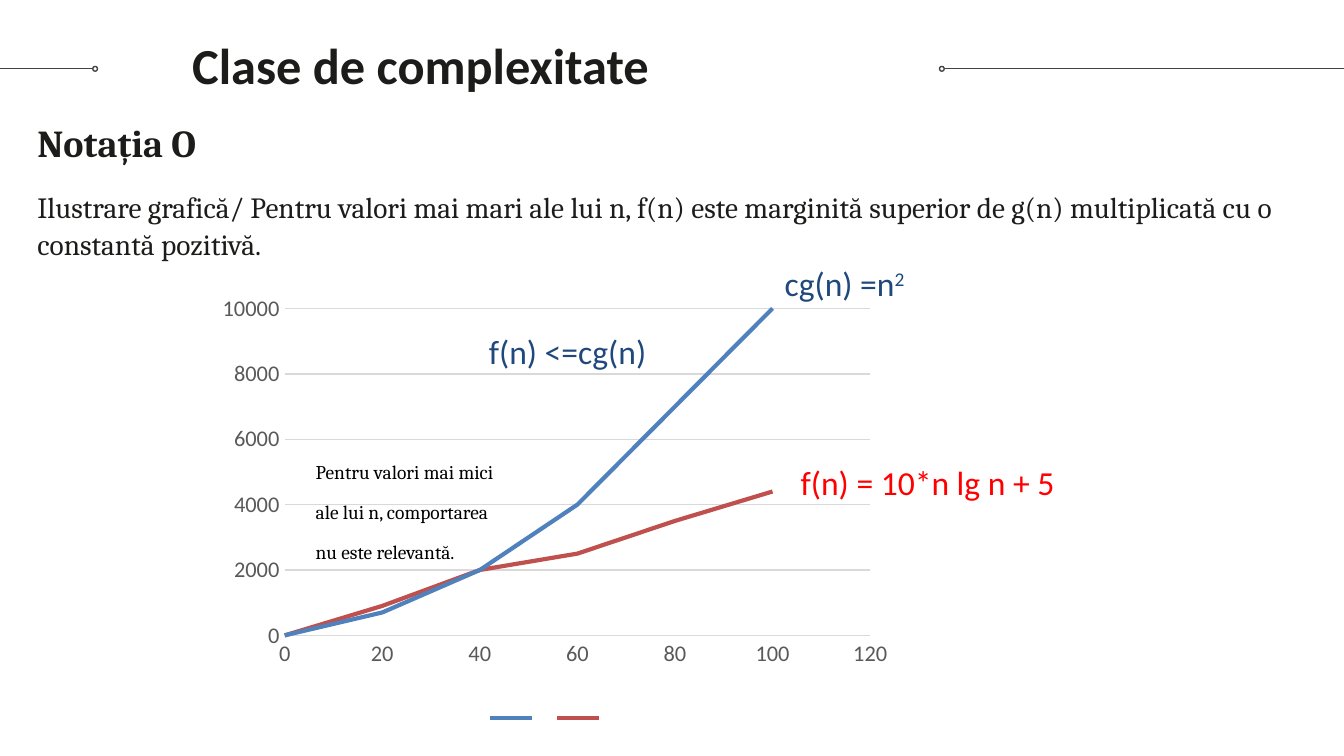
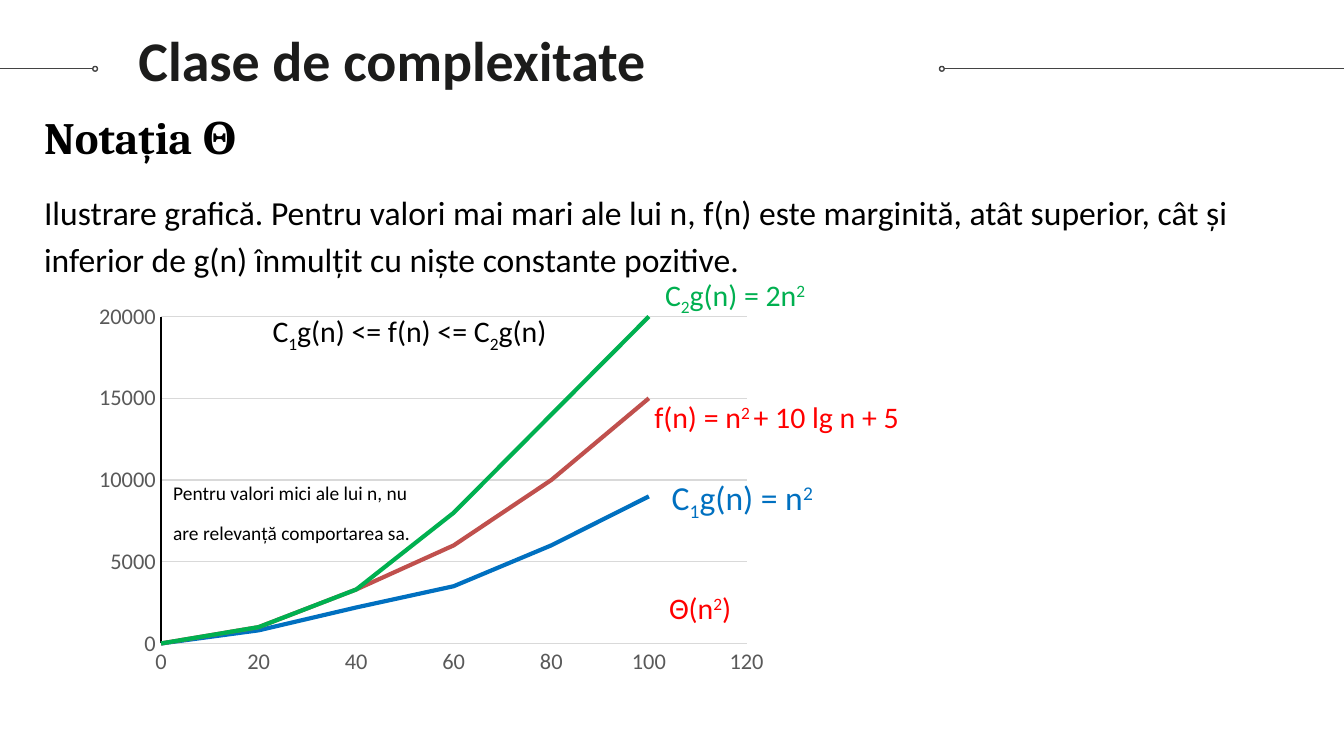
from dataclasses import dataclass

from lxml import etree
from pptx import Presentation
from pptx.chart.data import XyChartData
from pptx.dml.color import RGBColor
from pptx.enum.chart import XL_CHART_TYPE as ChartType
from pptx.enum.chart import XL_LEGEND_POSITION as LegendPos
from pptx.enum.chart import XL_TICK_MARK as TickMark
from pptx.enum.shapes import MSO_CONNECTOR as Connector
from pptx.enum.shapes import MSO_SHAPE as Shape
from pptx.enum.text import MSO_ANCHOR as Anchor
from pptx.enum.text import MSO_AUTO_SIZE as AutoSize
from pptx.enum.text import PP_ALIGN as Align
from pptx.oxml import parse_xml
from pptx.oxml.ns import nsdecls, qn
from pptx.util import Inches, Pt

# The slide is a grid of 100 columns by 56.25 rows with square cells.
COLS, ROWS = 100, 56.25
CELL = Inches(0.1)

INK = RGBColor(0x1C, 0x1C, 0x1B)
BLACK = RGBColor(0, 0, 0)
RULE = RGBColor(0x43, 0x43, 0x43)
AXIS_TEXT = RGBColor(0x59, 0x59, 0x59)
GRID = RGBColor(0xD9, 0xD9, 0xD9)
RED = RGBColor(0xFF, 0, 0)
NAVY = RGBColor(0x1F, 0x49, 0x7D)
BLUE = RGBColor(0, 0x70, 0xC0)
GREEN = RGBColor(0, 0xB0, 0x50)
STEEL = RGBColor(0x4F, 0x81, 0xBD)
BRICK = RGBColor(0xC0, 0x50, 0x4D)

SANS, SERIF = "Calibri", "Cambria"
SUP, SUB = 30, -25  # baseline shift in percent
N_VALUES = range(0, 101, 20)
RULE_ROW, DOT = 5.12, 0.35
PLOT_AREA = {"x": 0.128, "y": 0.055, "w": 0.822, "h": 0.722}


@dataclass(frozen=True)
class Box:
    col: float
    row: float
    cols: float
    rows: float

    def emu(self) -> tuple[int, ...]:
        return tuple(round(v * CELL) for v in (self.col, self.row, self.cols, self.rows))


@dataclass(frozen=True)
class Shifted:
    text: str
    baseline: int


SQUARED = Shifted("2", SUP)
SUB_1, SUB_2 = Shifted("1", SUB), Shifted("2", SUB)


@dataclass(frozen=True)
class Para:
    runs: tuple[str | Shifted, ...]
    size: float
    color: RGBColor
    font: str = SANS
    bold: bool = False


@dataclass(frozen=True)
class Label:
    box: Box
    para: Para


@dataclass(frozen=True)
class Curve:
    name: str
    color: RGBColor
    values: tuple[int, ...]


@dataclass(frozen=True)
class Plot:
    box: Box
    curves: tuple[Curve, ...]
    top: int
    step: int
    axis_line: RGBColor | None = None
    legend: bool = False


@dataclass(frozen=True)
class Intro:
    box: Box
    paras: tuple[Para, ...]
    spacing: float
    inset: float


@dataclass(frozen=True)
class Page:
    title_box: Box
    title_size: float
    intro: Intro
    plot: Plot
    labels: tuple[Label, ...]


def write(p, para: Para) -> None:
    for part in para.runs:
        r = p.add_run()
        if isinstance(part, Shifted):
            r.text = part.text
            r._r.get_or_add_rPr().set("baseline", str(part.baseline * 1000))
        else:
            r.text = part
    p.font.name, p.font.size, p.font.bold = para.font, Pt(para.size), para.bold
    p.font.color.rgb = para.color


def add_text(s, box: Box, *paras: Para):
    tf = s.shapes.add_textbox(*box.emu()).text_frame
    tf.word_wrap = True
    tf.auto_size = AutoSize.SHAPE_TO_FIT_TEXT
    for i, para in enumerate(paras):
        write(tf.add_paragraph() if i else tf.paragraphs[0], para)
    return tf


def set_title(s, box: Box, size: float) -> None:
    title = s.shapes.title
    title.left, title.top, title.width, title.height = box.emu()
    tf = title.text_frame
    tf.auto_size, tf.vertical_anchor = AutoSize.NONE, Anchor.TOP
    tf.margin_left = tf.margin_right = tf.margin_top = tf.margin_bottom = CELL
    p = tf.paragraphs[0]
    p.alignment = Align.LEFT
    write(p, Para(("Clase de complexitate",), size, INK, bold=True))


def add_title_rules(s) -> None:
    """Draw the lines on both sides of the title, each ending in a ring."""
    for start, end, ring in ((0, 6.9, 6.9), (70.25, COLS, 69.9)):
        y = round(RULE_ROW * CELL)
        line = s.shapes.add_connector(
            Connector.STRAIGHT, round(start * CELL), y, round(end * CELL), y)
        etree.SubElement(line._element.spPr, qn("a:effectLst"))
        dot = s.shapes.add_shape(
            Shape.OVAL, *Box(ring, RULE_ROW - DOT / 2, DOT, DOT).emu())
        dot.shadow.inherit = False
        dot.fill.background()
        for shape in (line, dot):
            shape.line.color.rgb, shape.line.width = RULE, Pt(0.75)


def add_intro(s, intro: Intro) -> None:
    tf = add_text(s, intro.box, *intro.paras)
    tf.margin_top = tf.margin_bottom = round(intro.inset * CELL)
    for p in tf.paragraphs:
        p.line_spacing, p.space_after = intro.spacing, Pt(12)


def style_line(line, color: RGBColor | None, width: float = 0.75) -> None:
    if color is None:
        line.fill.background()
    else:
        line.color.rgb, line.width = color, Pt(width)


def style_font(font, size: float, color: RGBColor) -> None:
    font.name, font.size, font.color.rgb = SANS, Pt(size), color


def fix_plot_area(chart) -> None:
    """Pin the inner plot area to fixed shares of the chart."""
    shares = "".join(f'<c:{k} val="{v}"/>' for k, v in PLOT_AREA.items())
    area = chart._chartSpace.chart.plotArea
    for old in area.findall(qn("c:layout")):
        area.remove(old)
    area.insert(0, parse_xml(
        f'<c:layout {nsdecls("c")}><c:manualLayout><c:layoutTarget val="inner"/>'
        '<c:xMode val="edge"/><c:yMode val="edge"/>'
        f'{shares}</c:manualLayout></c:layout>'))


def add_plot(s, plot: Plot) -> None:
    data = XyChartData()
    for curve in plot.curves:
        series = data.add_series(curve.name)
        for n, value in zip(N_VALUES, curve.values):
            series.add_data_point(n, value)
    chart = s.shapes.add_chart(
        ChartType.XY_SCATTER_SMOOTH_NO_MARKERS, *plot.box.emu(), data).chart
    chart.has_title = False
    style_font(chart.font, 10, BLACK)
    chart.plots[0].vary_by_categories = False
    for series, curve in zip(chart.plots[0].series, plot.curves):
        series.smooth = True
        style_line(series.format.line, curve.color, 2.25)

    x_axis, y_axis = chart.category_axis, chart.value_axis
    for axis, top, step, color in ((x_axis, 120, 20, GRID),
                                   (y_axis, plot.top, plot.step, plot.axis_line)):
        axis.minimum_scale, axis.maximum_scale, axis.major_unit = 0, top, step
        axis.major_tick_mark = axis.minor_tick_mark = TickMark.NONE
        style_font(axis.tick_labels.font, 12, AXIS_TEXT)
        style_line(axis.format.line, color)
    x_axis.has_major_gridlines = False
    y_axis.has_major_gridlines = True
    style_line(y_axis.major_gridlines.format.line, GRID)

    chart.has_legend = plot.legend
    if plot.legend:
        chart.legend.position = LegendPos.BOTTOM
        chart.legend.include_in_layout = False
        style_font(chart.legend.font, 12, AXIS_TEXT)
    fix_plot_area(chart)


def add_page(prs, page: Page) -> None:
    s = prs.slides.add_slide(prs.slide_layouts.get_by_name("Title Only"))
    add_title_rules(s)
    set_title(s, page.title_box, page.title_size)
    add_intro(s, page.intro)
    add_plot(s, page.plot)
    for label in page.labels:
        add_text(s, label.box, label.para)


BIG_O = Page(
    Box(13.3, 1.5, 93.2, 6.3), 27,
    Intro(Box(1.8, 7.7, 94.4, 14.9), (
        Para(("Notația O",), 20.4, INK, SERIF, True),
        Para(("Ilustrare grafică/ Pentru valori mai mari ale lui n, f(n) este marginită "
              "superior de g(n) multiplicată cu o constantă pozitivă.",), 15.7, INK, SERIF),
    ), spacing=1.05, inset=1),
    Plot(Box(14.4, 21.1, 53, 33.7), (
        Curve(" ", STEEL, (0, 700, 2000, 4000, 7000, 10000)),
        Curve(" ", BRICK, (0, 900, 2000, 2500, 3500, 4400)),
    ), top=10000, step=2000, legend=True),
    (
        Label(Box(58.6, 33.9, 23.3, 4), Para(("f(n) = 10*n lg n + 5",), 18, RED)),
        Label(Box(57.4, 19.1, 40, 4), Para(("cg(n) =n", SQUARED), 18, NAVY)),
        Label(Box(35.4, 24.1, 55.3, 4), Para(("f(n) <=cg(n)",), 18, NAVY)),
        Label(Box(22.5, 33.4, 16.2, 9.1), Para((Shifted(
            "Pentru valori mai mici ale lui n, comportarea nu este relevantă.", SUP),),
            18, BLACK, SERIF)),
    ))

THETA = Page(
    Box(9.3, 0.9, 90.7, 6.3), 30,
    Intro(Box(2.3, 7.1, 95.4, 14), (
        Para(("Notația Θ",), 24, BLACK, SERIF, True),
        Para(("Ilustrare grafică. Pentru valori mai mari ale lui n, f(n) este marginită, "
              "atât superior, cât și inferior de g(n) înmulțit cu niște constante "
              "pozitive.",), 18, BLACK),
    ), spacing=1.15, inset=0.5),
    Plot(Box(5.2, 21.7, 53, 33.7), (
        Curve("Series 1", GREEN, (0, 1000, 3300, 8000, 14000, 20000)),
        Curve("Series 2", BRICK, (0, 1000, 3300, 6000, 10000, 15000)),
        Curve("Series 3", BLUE, (0, 800, 2200, 3500, 6000, 9000)),
    ), top=20000, step=5000, axis_line=BLACK),
    (
        Label(Box(47.7, 29.2, 29.3, 3.7),
              Para(("f(n) = n", Shifted("2 ", SUP), "+ 10 lg n + 5"), 16, RED)),
        Label(Box(48.8, 43.4, 8.7, 3.7), Para(("Θ(n", SQUARED, ")"), 16, RED)),
        Label(Box(49, 35, 21, 4), Para(("C", SUB_1, "g(n) = n", SQUARED), 18, BLUE)),
        Label(Box(11.9, 35, 20.1, 7.1), Para((Shifted(
            "Pentru valori mici ale lui n, nu are relevanță comportarea sa.", SUP),),
            18, BLACK)),
        Label(Box(48.5, 20.1, 16.9, 3.7),
              Para(("C", SUB_2, "g(n) = 2n", SQUARED), 16, GREEN)),
        Label(Box(19.3, 22.8, 26.1, 3.7),
              Para(("C", SUB_1, "g(n) <= f(n) <= C", SUB_2, "g(n)"), 16, BLACK)),
    ))


def main() -> None:
    prs = Presentation()
    prs.slide_width, prs.slide_height = COLS * CELL, round(ROWS * CELL)
    for page in (BIG_O, THETA):
        add_page(prs, page)
    prs.save("out.pptx")


if __name__ == "__main__":
    main()
